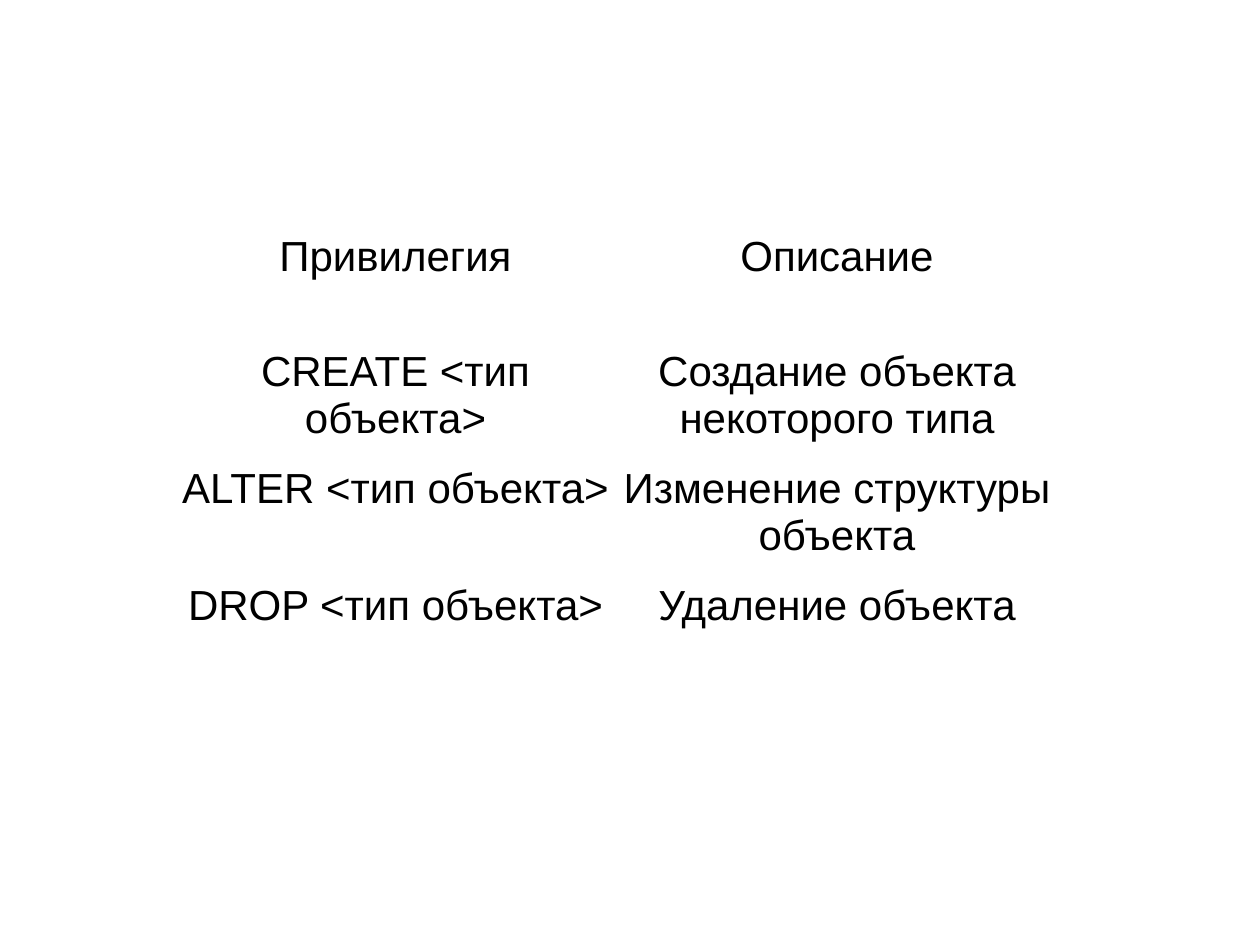
from dataclasses import dataclass

from lxml import etree
from pptx import Presentation
from pptx import util as u
from pptx.dml.color import RGBColor
from pptx.enum import text
from pptx.oxml.ns import qn

PX = u.Inches(1) // 126


@dataclass(frozen=True)
class Theme:
    font: str = "Arial"
    size: int = 24
    space_before: float = 3.1
    ink: str = "000000"
    paper: str = "FFFFFF"
    thin_rule: int = 1
    thick_rule: int = 3


class SlideBuilder:
    def __init__(self, slide, theme):
        self.slide = slide
        self.theme = theme

    def background(self):
        fill = self.slide.background.fill
        fill.solid()
        fill.fore_color.rgb = RGBColor.from_string(self.theme.paper)

    def border(self, cell, side, width):
        """Draw one cell edge; side is L, R, T or B."""
        properties = cell._tc.get_or_add_tcPr()
        line = etree.SubElement(properties, qn(f"a:ln{side}"), w=str(u.Pt(width)))
        fill = etree.SubElement(line, qn("a:solidFill"))
        etree.SubElement(fill, qn("a:srgbClr"), val=self.theme.paper)

    def cell(self, cell, wording, thick_sides):
        theme = self.theme
        cell.margin_left = cell.margin_right = cell.margin_top = cell.margin_bottom = 0
        for side in "LRTB":
            self.border(cell, side, theme.thick_rule if side in thick_sides else theme.thin_rule)
        cell.fill.background()
        cell.text = wording
        paragraph = cell.text_frame.paragraphs[0]
        paragraph.alignment = text.PP_ALIGN.CENTER
        paragraph.space_before = u.Pt(theme.space_before)
        paragraph.font.name = theme.font
        paragraph.font.size = u.Pt(theme.size)
        paragraph.font.bold = False
        paragraph.font.color.rgb = RGBColor.from_string(theme.ink)

    def table(self, left, top, widths, heights, rows):
        """Place a table whose header and last row are set off by thick rules."""
        table = self.slide.shapes.add_table(
            len(rows), len(widths), left * PX, top * PX, sum(widths) * PX, sum(heights) * PX
        ).table
        table.horz_banding = False
        for column, width in zip(table.columns, widths):
            column.width = width * PX
        thick_sides = {0: "B", len(rows) - 1: "T"}
        for index, (row, height) in enumerate(zip(rows, heights)):
            table.rows[index].height = height * PX
            for column, wording in enumerate(row):
                self.cell(table.cell(index, column), wording, thick_sides.get(index, ""))


PRIVILEGES = [
    ("Привилегия", "Описание"),
    ("CREATE <тип объекта>", "Создание объекта некоторого типа"),
    ("ALTER <тип объекта>", "Изменение структуры объекта"),
    ("DROP <тип объекта>", "Удаление объекта"),
]


def main():
    deck = Presentation()
    deck.slide_width, deck.slide_height = u.Inches(10), u.Inches(7.5)
    blank_layout = deck.slide_layouts[6]
    builder = SlideBuilder(deck.slides.add_slide(blank_layout), Theme())
    builder.background()
    builder.table(174, 234, [443, 440], [115, 117, 117, 117], PRIVILEGES)
    deck.save("out.pptx")


if __name__ == "__main__":
    main()
